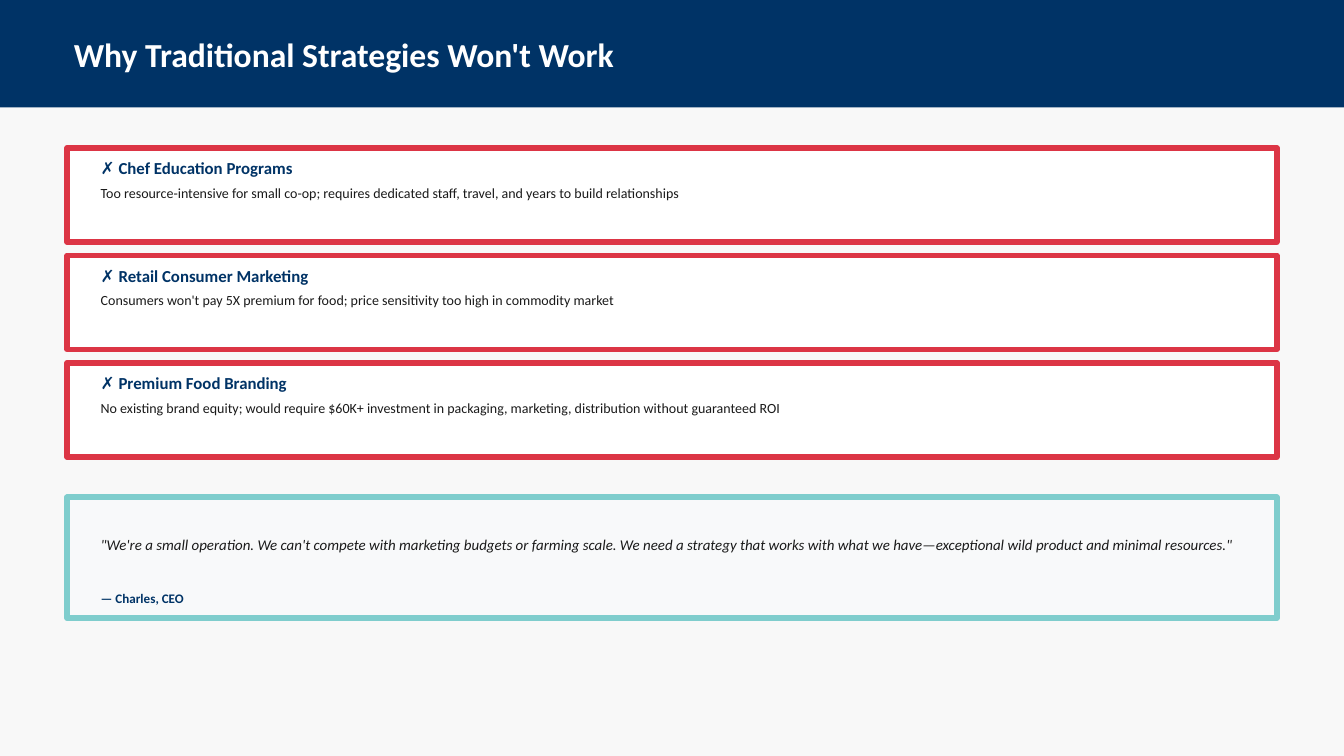
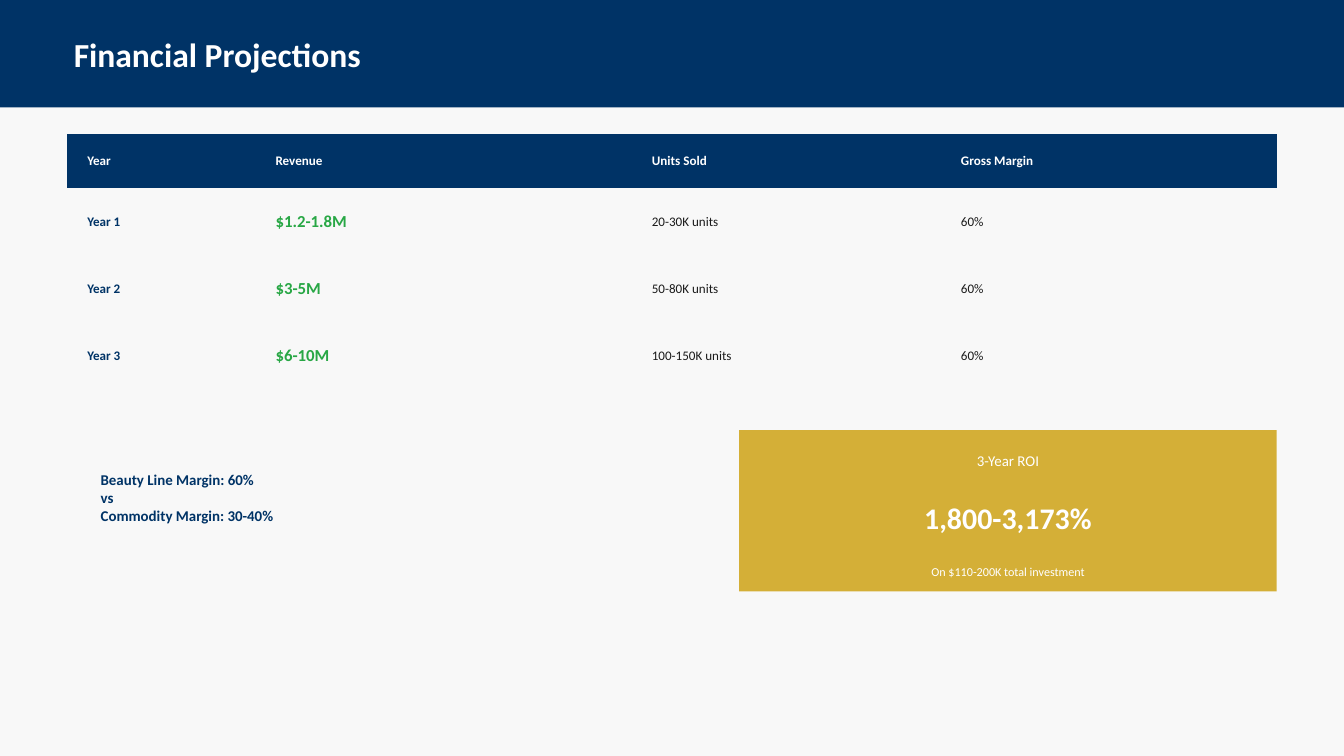
from dataclasses import dataclass
from pptx import Presentation
from pptx.dml.color import RGBColor as Color
from pptx.enum.shapes import MSO_SHAPE as Shape
from pptx.enum.text import MSO_ANCHOR as Anchor, PP_ALIGN as Align
from pptx.oxml.ns import qn
from pptx.util import Inches, Pt


@dataclass(frozen=True)
class Theme:
    font: str = "Calibri"
    # Colours
    page: str = "F8F8F8"
    navy: str = "003366"
    white: str = "FFFFFF"
    ink: str = "1A1A1A"
    red: str = "DC3545"
    teal: str = "7FCDCD"
    pale: str = "F8F9FA"
    green: str = "28A745"
    gold: str = "D4AF37"
    # Type sizes
    title: int = 36
    figure: int = 32
    heading: int = 18
    quote: int = 16
    body: int = 15
    cell: int = 14
    note: int = 13


theme = Theme()
NO_GRID_STYLE = "{2D5ABB26-0587-4C30-8999-92F81FD0307C}"


def add_panel(page, left, top, width, height, fill, border=None):
    panel = page.shapes.add_shape(
        Shape.RECTANGLE, Inches(left), Inches(top), Inches(width), Inches(height))
    panel.shadow.inherit = False
    panel.fill.solid()
    panel.fill.fore_color.rgb = Color.from_string(fill)
    if border:
        panel.line.color.rgb = Color.from_string(border)
        panel.line.width = Pt(6)
    else:
        panel.line.fill.background()


def add_text(page, left, top, width, height, lines, size, color,
             bold=False, italic=False, align=Align.LEFT):
    box = page.shapes.add_textbox(
        Inches(left), Inches(top), Inches(width), Inches(height))
    frame = box.text_frame
    frame.word_wrap = True
    frame.vertical_anchor = Anchor.MIDDLE
    frame.text = lines
    for para in frame.paragraphs:
        para.alignment = align
        para.font.name = theme.font
        para.font.size = Pt(size)
        para.font.bold = bold
        para.font.italic = italic
        para.font.color.rgb = Color.from_string(color)


deck = Presentation()
deck.slide_width = Inches(20)
deck.slide_height = Inches(11.25)

# Shared background, band and title
pages = []
for title in ("Why Traditional Strategies Won't Work", "Financial Projections"):
    page = deck.slides.add_slide(deck.slide_layouts[6])
    page.background.fill.solid()
    page.background.fill.fore_color.rgb = Color.from_string(theme.page)
    add_panel(page, 0, 0, 20, 1.6, theme.navy)
    add_text(page, 1, 0.4, 18, 0.8, title, theme.title, theme.white, bold=True)
    pages.append(page)
strategy_page, finance_page = pages

# Rejected strategies
strategies = [
    ("Chef Education Programs",
     "Too resource-intensive for small co-op; requires dedicated staff, travel, "
     "and years to build relationships"),
    ("Retail Consumer Marketing",
     "Consumers won't pay 5X premium for food; price sensitivity too high in "
     "commodity market"),
    ("Premium Food Branding",
     "No existing brand equity; would require $60K+ investment in packaging, "
     "marketing, distribution without guaranteed ROI"),
]
for index, (strategy, reason) in enumerate(strategies):
    top = 2.2 + 1.6 * index
    add_panel(strategy_page, 1, top, 18, 1.4, theme.white, theme.red)
    add_text(strategy_page, 1.4, top + 0.05, 17.2, 0.5, f"✗ {strategy}",
             theme.heading, theme.navy, bold=True)
    add_text(strategy_page, 1.4, top + 0.32, 17.2, 0.7, reason, theme.body, theme.ink)

# Quote
add_panel(strategy_page, 1, 7.4, 18, 1.8, theme.pale, theme.teal)
add_text(strategy_page, 1.4, 7.6, 17.2, 1,
         '"We\'re a small operation. We can\'t compete with marketing budgets or '
         "farming scale. We need a strategy that works with what we "
         'have—exceptional wild product and minimal resources."',
         theme.quote, theme.ink, italic=True)
add_text(strategy_page, 1.4, 8.7, 17.2, 0.4, "— Charles, CEO",
         theme.cell, theme.navy, bold=True)

# Projections table
projections = [
    ("Year", "Revenue", "Units Sold", "Gross Margin"),
    ("Year 1", "$1.2-1.8M", "20-30K units", "60%"),
    ("Year 2", "$3-5M", "50-80K units", "60%"),
    ("Year 3", "$6-10M", "100-150K units", "60%"),
]
column_widths = (2.8, 5.6, 4.6, 5)
row_heights = (0.8, 1, 1, 1)
header_style = (theme.cell, theme.white, True)
column_styles = [
    (theme.cell, theme.navy, True),
    (theme.heading, theme.green, True),
    (theme.cell, theme.ink, False),
    (theme.cell, theme.ink, False),
]
table = finance_page.shapes.add_table(
    len(row_heights), len(column_widths), Inches(1), Inches(2),
    Inches(sum(column_widths)), Inches(sum(row_heights))).table
table.horz_banding = False
table._tbl.tblPr.find(qn("a:tableStyleId")).text = NO_GRID_STYLE
for column, width in zip(table.columns, column_widths):
    column.width = Inches(width)
for row, height in zip(table.rows, row_heights):
    row.height = Inches(height)
for row_index, values in enumerate(projections):
    for column_index, value in enumerate(values):
        cell = table.cell(row_index, column_index)
        cell.text = value
        cell.margin_left = Inches(0.3)
        cell.vertical_anchor = Anchor.MIDDLE
        if row_index == 0:
            cell.fill.solid()
            cell.fill.fore_color.rgb = Color.from_string(theme.navy)
            size, color, bold = header_style
        else:
            cell.fill.background()
            size, color, bold = column_styles[column_index]
        font = cell.text_frame.paragraphs[0].font
        font.name = theme.font
        font.size = Pt(size)
        font.bold = bold
        font.color.rgb = Color.from_string(color)

# Return on investment
add_panel(finance_page, 11, 6.4, 8, 2.4, theme.gold)
for top, height, text, size, bold in [
    (6.6, 0.5, "3-Year ROI", theme.quote, False),
    (7.2, 1, "1,800-3,173%", theme.figure, True),
    (8.3, 0.4, "On $110-200K total investment", theme.note, False),
]:
    add_text(finance_page, 11, top, 8, height, text, size, theme.white,
             bold=bold, align=Align.CENTER)

# Margin comparison
add_text(finance_page, 1.4, 6.6, 8, 1.6,
         "Beauty Line Margin: 60%\nvs\nCommodity Margin: 30-40%",
         theme.quote, theme.navy, bold=True)

deck.save("out.pptx")
